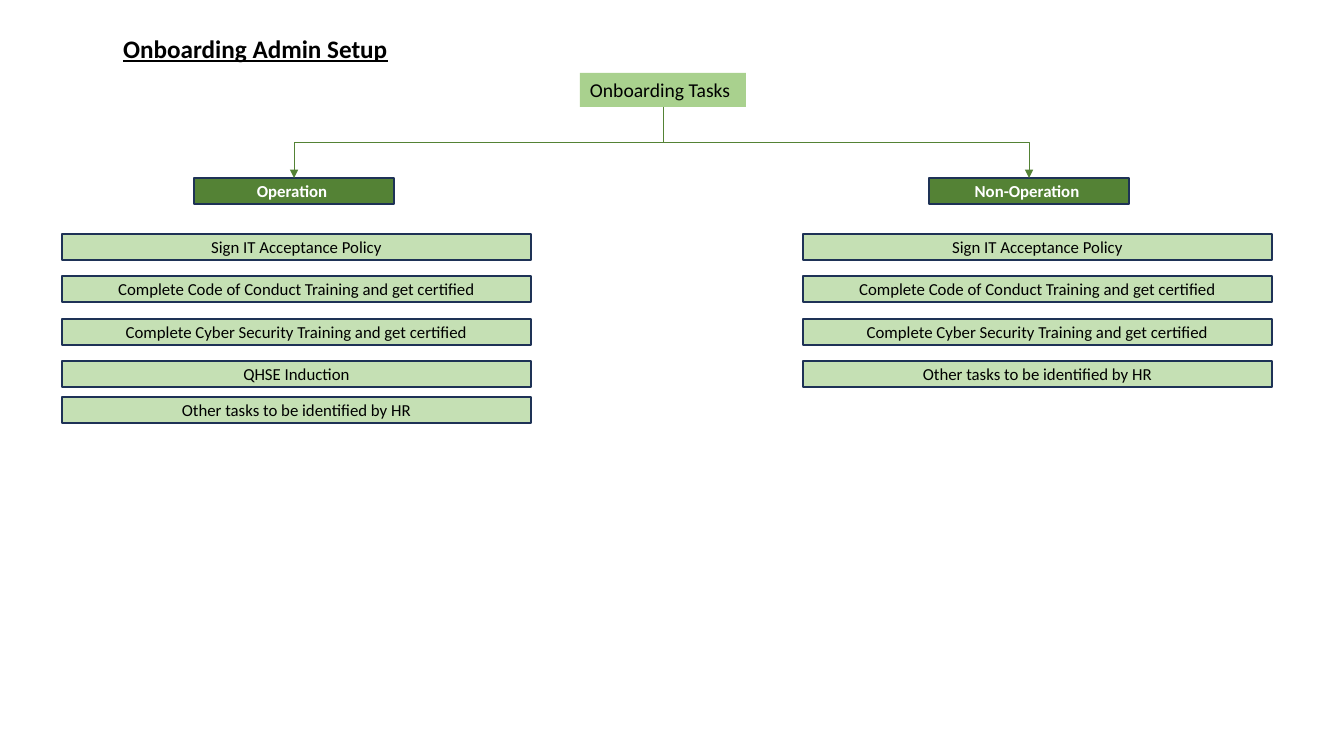
from pptx import Presentation
from pptx.dml.color import RGBColor
from pptx.enum.shapes import MSO_CONNECTOR as Link, MSO_SHAPE as Shape
from pptx.enum.text import MSO_ANCHOR as Anchor, MSO_AUTO_SIZE as Fit, PP_ALIGN as Align
from pptx.util import Pt
from lxml import etree

PX = 914400 / 100.8
NS = "http://schemas.openxmlformats.org/drawingml/2006/main"
color = RGBColor.from_string


def write(box, text, size, ink="000000", bold=False, align=Align.CENTER, anchor=Anchor.MIDDLE):
    frame = box.text_frame
    frame.text = text
    frame.vertical_anchor = anchor
    para = frame.paragraphs[0]
    para.alignment = align
    font = para.runs[0].font
    font.name, font.size, font.bold = "Calibri", Pt(size), bold
    font.color.rgb = color(ink)
    return frame, font


def bar(left, top, wide, high, fill, edge=None):
    box = slide.shapes.add_shape(Shape.RECTANGLE, *[round(n * PX) for n in (left, top, wide, high)])
    box.shadow.inherit = False
    box.fill.solid()
    box.fill.fore_color.rgb = color(fill)
    if edge:
        box.line.color.rgb = color(edge)
        box.line.width = Pt(1)
    else:
        box.line.fill.background()
    return box


deck = Presentation()
deck.slide_width, deck.slide_height = round(1344 * PX), round(756 * PX)
slide = deck.slides.add_slide(deck.slide_layouts[5])

# Title
title = slide.shapes.title
title.left, title.top, title.width, title.height = [round(n * PX) for n in (113, 28, 286, 40)]
frame, font = write(title, "Onboarding Admin Setup", 18, bold=True, align=Align.LEFT, anchor=Anchor.TOP)
font.underline = True
frame.word_wrap = False
frame.auto_size = Fit.SHAPE_TO_FIT_TEXT

# Root of the tree
root = bar(580, 73, 166, 34, "A9D18E")
frame, font = write(root, "Onboarding Tasks", 14, align=Align.LEFT, anchor=Anchor.TOP)
frame.word_wrap = False
frame.auto_size = Fit.SHAPE_TO_FIT_TEXT

# Branches: heading, its left edge, left edge of the tasks, tasks
shared = [
    "Sign IT Acceptance Policy",
    "Complete Code of Conduct Training and get certified",
    "Complete Cyber Security Training and get certified",
]
other = "Other tasks to be identified by HR"
groups = [
    ("Operation ", 194, 62, shared + ["QHSE Induction", other]),
    ("Non-Operation ", 929, 803, shared + [other]),
]
tops = (234, 276, 319, 361, 397)
start, upper, lower = 663, 107, 178

for name, left, edge, tasks in groups:
    head = bar(left, lower, 200, 26, "548235", "1E3256")
    write(head, name, 12, "FFFFFF", True)
    for top, task in zip(tops, tasks):
        write(bar(edge, top, 469, 26, "C5E0B4", "1E3256"), task, 12)

    # Elbow arrow, turned so that it leaves the root downwards
    end = left + 100
    mid, level = (start + end) / 2, (upper + lower) / 2
    half, reach = (lower - upper) / 2, abs(end - start) / 2
    side = 1 if end > start else -1
    ends = (mid + side * half, level - reach, mid - side * half, level + reach)
    arrow = slide.shapes.add_connector(Link.ELBOW, *[round(n * PX) for n in ends])
    arrow.line.color.rgb = color("548235")
    arrow.line.width = Pt(0.5)
    props = arrow._element.spPr
    props.find(f"{{{NS}}}xfrm").set("rot", "16200000" if side > 0 else "5400000")
    etree.SubElement(props.find(f"{{{NS}}}ln"), f"{{{NS}}}tailEnd", type="triangle")
    etree.SubElement(props, f"{{{NS}}}effectLst")

    # The left arrow runs from its top left corner
    if side < 0:
        arrow.begin_x, arrow.end_x = round((mid - half) * PX), round((mid + half) * PX)

deck.save("out.pptx")
